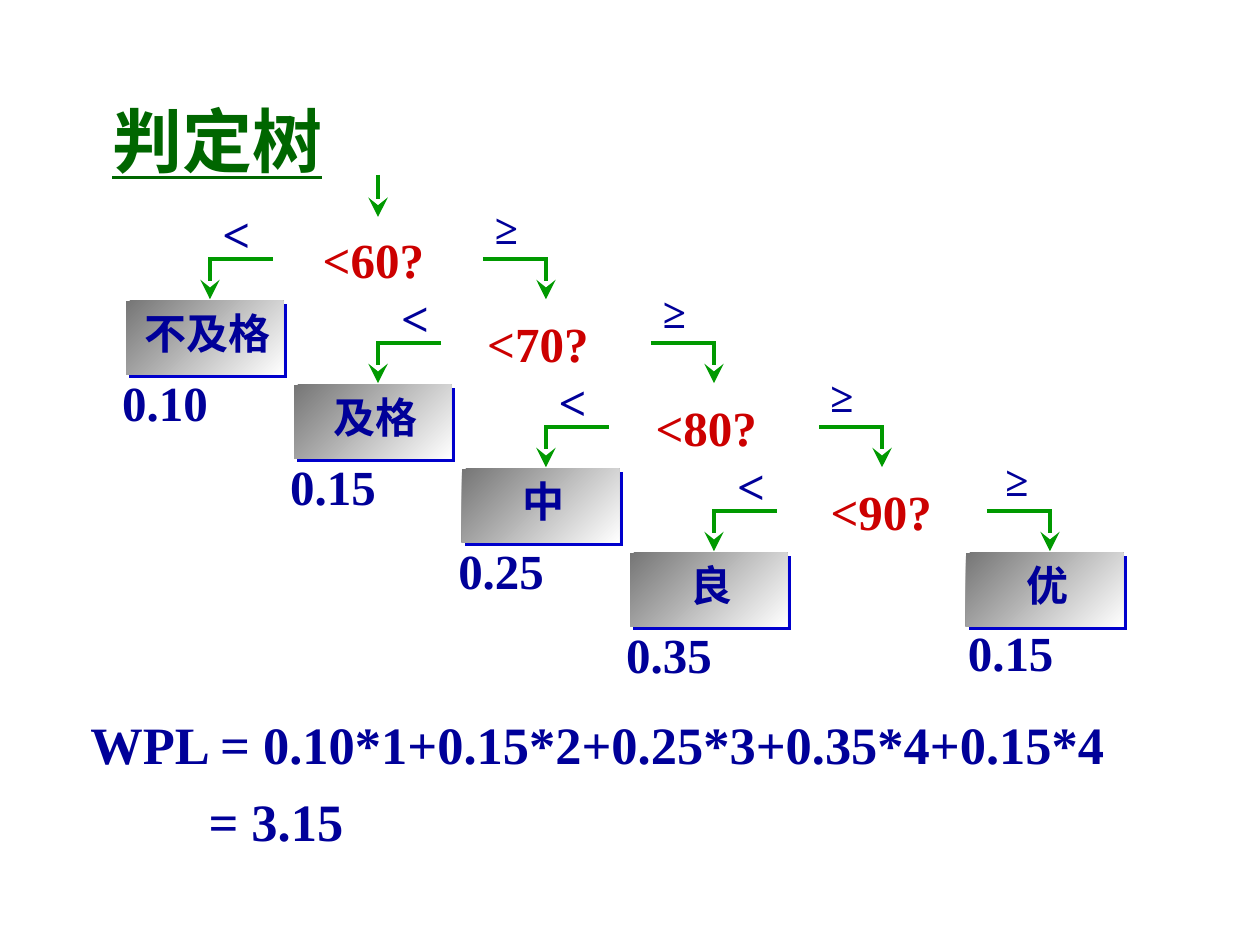
from dataclasses import dataclass

from lxml import etree
from pptx import Presentation
from pptx.dml.color import RGBColor
from pptx.enum.shapes import MSO_CONNECTOR, MSO_SHAPE
from pptx.enum.text import MSO_ANCHOR, MSO_AUTO_SIZE, PP_ALIGN
from pptx.oxml.ns import qn
from pptx.util import Pt

STRAIGHT = MSO_CONNECTOR.STRAIGHT
RECTANGLE = MSO_SHAPE.RECTANGLE
MIDDLE, TOP = MSO_ANCHOR.MIDDLE, MSO_ANCHOR.TOP
GROW, FIXED = MSO_AUTO_SIZE.SHAPE_TO_FIT_TEXT, MSO_AUTO_SIZE.NONE
CENTER, LEFT = PP_ALIGN.CENTER, PP_ALIGN.LEFT


@dataclass(frozen=True)
class Theme:
    font: str = "Times New Roman"
    title: str = "006600"
    ink: str = "000099"
    question: str = "CC0000"
    branch: str = "009900"
    shadow: str = "0000CC"
    leaf_dark: str = "767676"
    leaf_light: str = "FFFFFF"
    title_size: float = 40
    formula_size: float = 30
    value_size: float = 28
    label_size: float = 24
    line_width: float = 2.25


@dataclass(frozen=True)
class Box:
    left: float
    top: float
    width: float
    height: float

    def inner(self, left, top, width, height):
        return Box(self.left + left, self.top + top, width, height)


@dataclass(frozen=True)
class Level:
    question: str
    grade: str
    weight: str
    question_left: float
    less_left: float
    more_left: float


THEME = Theme()
STEP_X, STEP_Y = 96, 48
LEVELS = [
    Level("<60?", "不及格", "0.10", 105, 48, 198),
    Level("<70?", "及格", "0.15", 103, 54, 198),
    Level("<80?", "中", "0.25", 103.2, 48, 197.6),
    Level("<90?", "良", "0.35", 107.2, 54, 201.6),
]


def add_text(page, box, lines, size, color, align=CENTER, anchor=MIDDLE, fit=GROW):
    shape = page.shapes.add_textbox(Pt(box.left), Pt(box.top), Pt(box.width), Pt(box.height))
    frame = shape.text_frame
    frame.word_wrap = False
    frame.auto_size = fit
    frame.vertical_anchor = anchor
    frame.text = lines
    for para in frame.paragraphs:
        para.alignment = align
        for span in para.runs:
            span.font.name = THEME.font
            span.font.size = Pt(size)
            span.font.bold = True
            span.font.color.rgb = RGBColor.from_string(color)
    return frame


def add_line(page, x1, y1, x2, y2, arrow=False):
    line = page.shapes.add_connector(STRAIGHT, Pt(x1), Pt(y1), Pt(x2), Pt(y2))
    line.line.color.rgb = RGBColor.from_string(THEME.branch)
    line.line.width = Pt(THEME.line_width)
    properties = line._element.spPr
    if arrow:
        etree.SubElement(properties.find(qn("a:ln")), qn("a:tailEnd"),
                         type="stealth", w="lg", len="lg")
    etree.SubElement(properties, qn("a:effectLst"))


def add_shadow(shape):
    effects = etree.SubElement(shape._element.spPr, qn("a:effectLst"))
    shadow = etree.SubElement(effects, qn("a:outerShdw"), dist=str(Pt(2.83)),
                              dir="2700000", algn="ctr", rotWithShape="0")
    etree.SubElement(shadow, qn("a:srgbClr"), val=THEME.shadow)


def draw_title(page, box):
    frame = add_text(page, box, "判定树", THEME.title_size, THEME.title)
    frame.paragraphs[0].runs[0].font.underline = True


def draw_leaf(page, box, grade):
    leaf = page.shapes.add_shape(RECTANGLE, Pt(box.left), Pt(box.top),
                                 Pt(box.width), Pt(box.height))
    leaf.fill.gradient()
    leaf.fill.gradient_angle = 315
    for stop, color in zip(leaf.fill.gradient_stops, (THEME.leaf_dark, THEME.leaf_light)):
        stop.color.rgb = RGBColor.from_string(color)
    leaf.line.fill.background()
    add_shadow(leaf)
    width = 15 + THEME.label_size * len(grade)
    add_text(page, box.inner(46.4 - width / 2, 0, width, 36), grade,
             THEME.label_size, THEME.ink)


def draw_weight(page, box, weight):
    add_text(page, box, weight, THEME.value_size, THEME.ink)


def draw_branch(page, box, inner_x, outer_x):
    inner, outer = box.left + inner_x, box.left + outer_x
    add_line(page, inner, box.top + 36, outer, box.top + 36)
    add_line(page, outer, box.top + 35, outer, box.top + 59, arrow=True)


def draw_level(page, box, level):
    draw_branch(page, box, 84, 48)
    draw_branch(page, box, 204, 240)
    draw_leaf(page, box.inner(0, 60, 90, 42), level.grade)
    draw_weight(page, box.inner(-9.4, 97.4, 63.4, 41), level.weight)
    add_text(page, box.inner(level.question_left, 15.4, 72.7, 41), level.question,
             THEME.value_size, THEME.question)
    add_text(page, box.inner(level.less_left, 0.5, 30.2, 41), "<",
             THEME.value_size, THEME.ink)
    add_text(page, box.inner(level.more_left, 0.2, 38.9, 36), "≥",
             THEME.label_size, THEME.ink)


def draw_tree(page, box):
    root_x = box.left + 144
    add_line(page, root_x, box.top - 12, root_x, box.top + 12, arrow=True)
    for row, level in enumerate(LEVELS):
        draw_level(page, box.inner(row * STEP_X, row * STEP_Y, 288, 139), level)
    last = box.inner(5 * STEP_X, 3 * STEP_Y + 60, 90, 42)
    draw_leaf(page, last, "优")
    draw_weight(page, last.inner(-6.2, 36, 63.4, 41), "0.15")


def draw_formula(page, box):
    frame = add_text(page, box, "WPL = 0.10*1+0.15*2+0.25*3+0.35*4+0.15*4\n= 3.15",
                     THEME.formula_size, THEME.ink, LEFT, TOP, FIXED)
    result = frame.paragraphs[1]
    result.space_before = Pt(8)
    result._p.get_or_add_pPr().set("marL", str(Pt(67.5)))


def main():
    deck = Presentation()
    deck.slide_width, deck.slide_height = Pt(720), Pt(540)
    page = deck.slides.add_slide(deck.slide_layouts[6])
    draw_title(page, Box(56.9, 51.8, 134.6, 55.4))
    draw_tree(page, Box(72, 112, 570, 270))
    draw_formula(page, Box(44.6, 403.2, 596.2, 86.4))
    deck.save("out.pptx")


if __name__ == "__main__":
    main()
